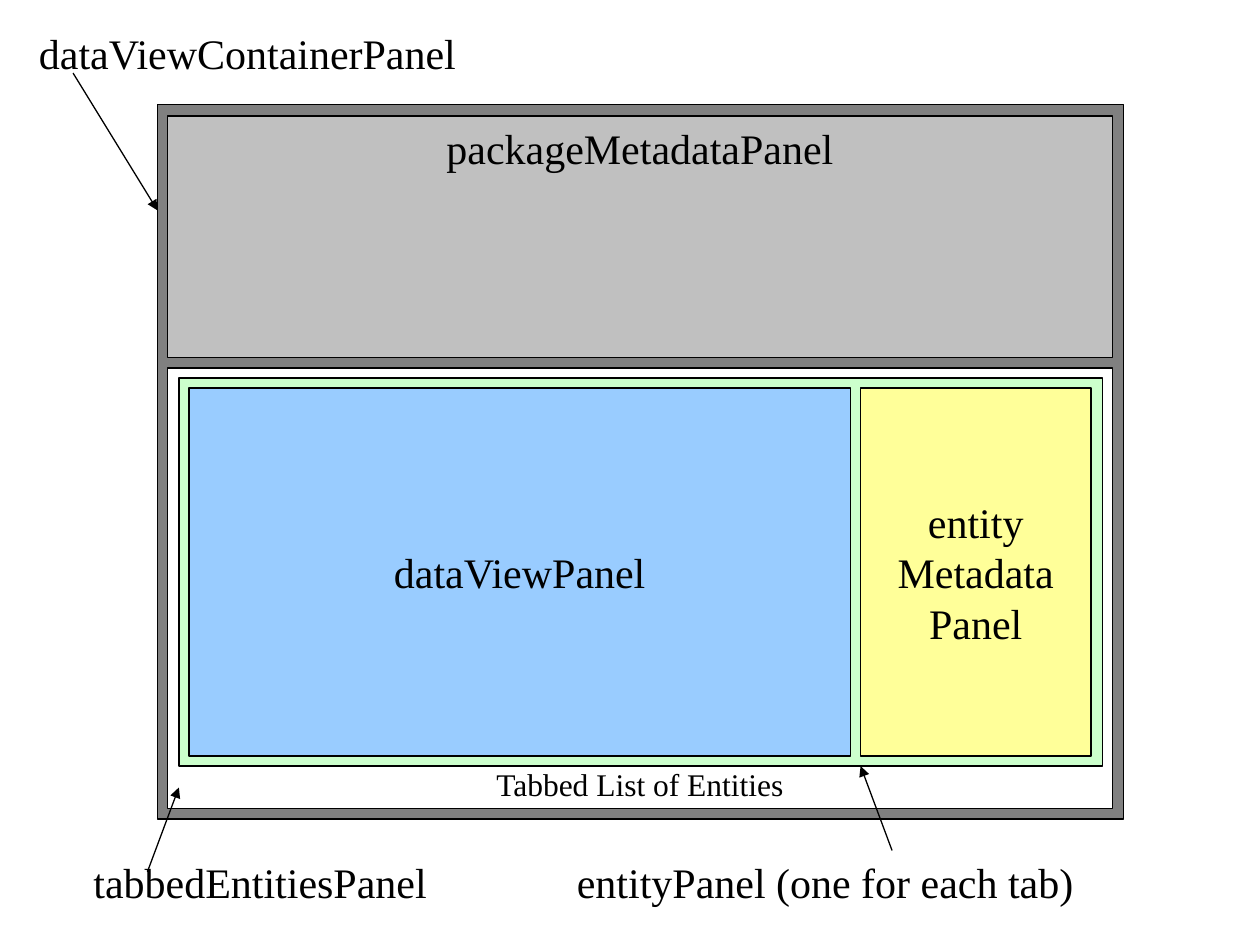
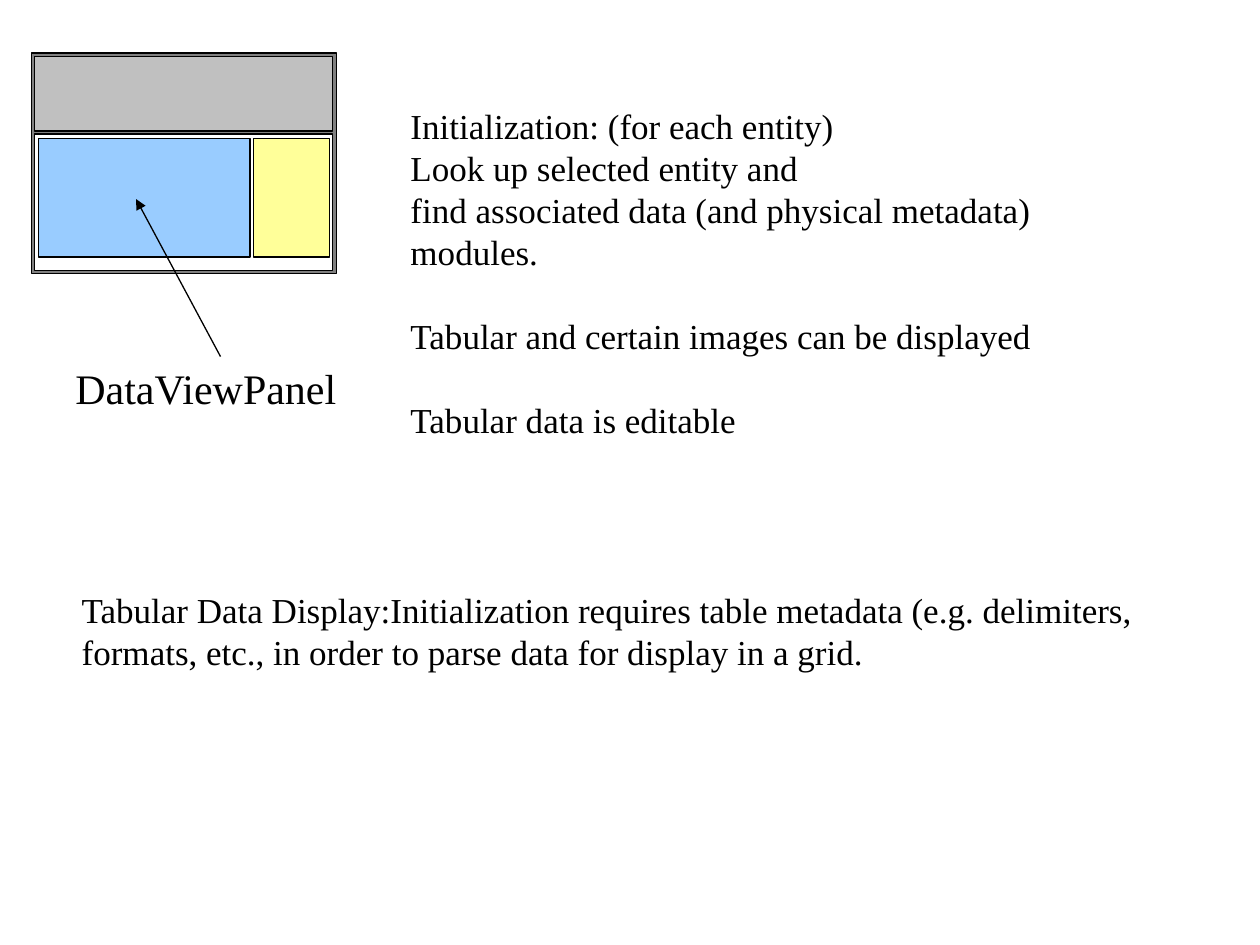
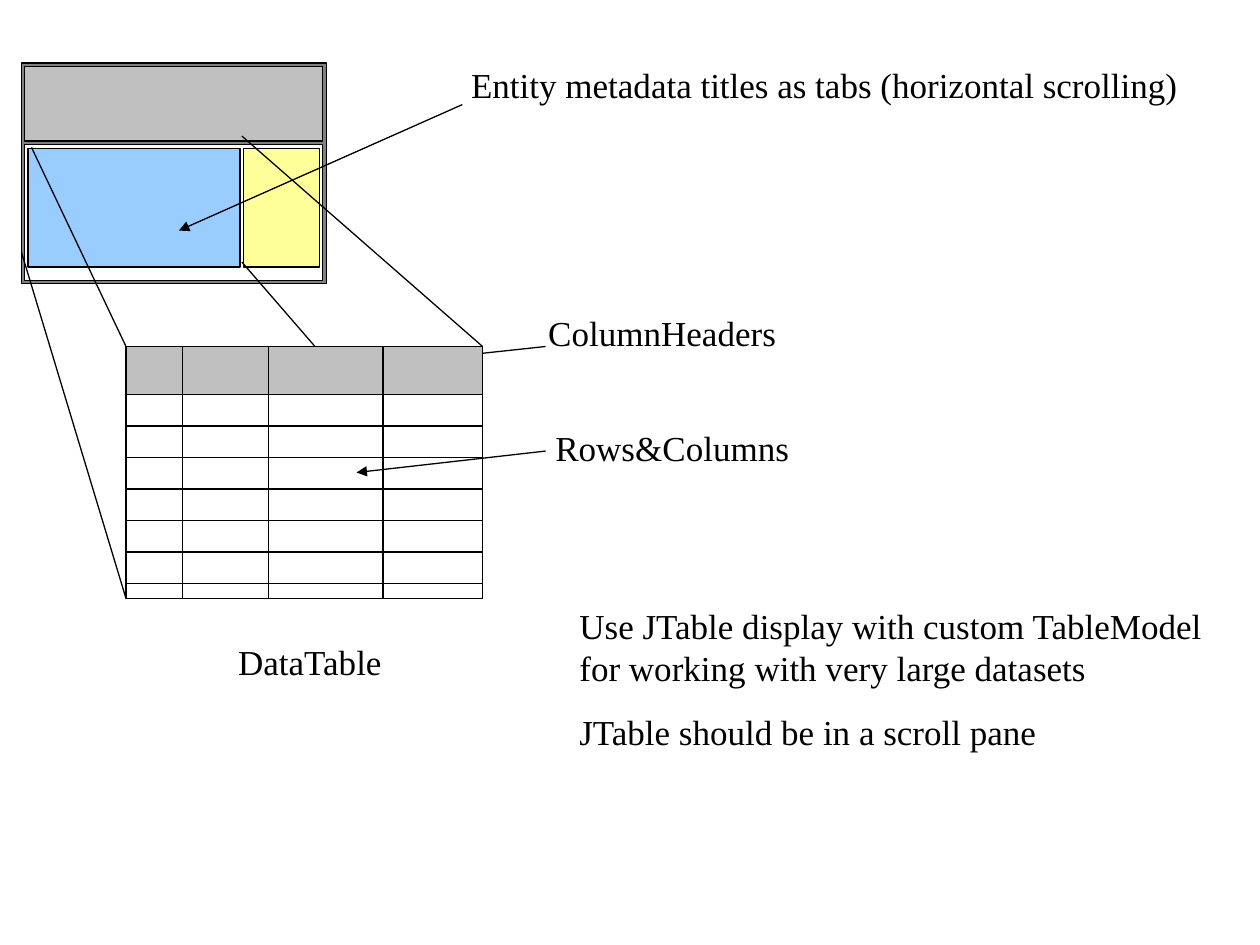
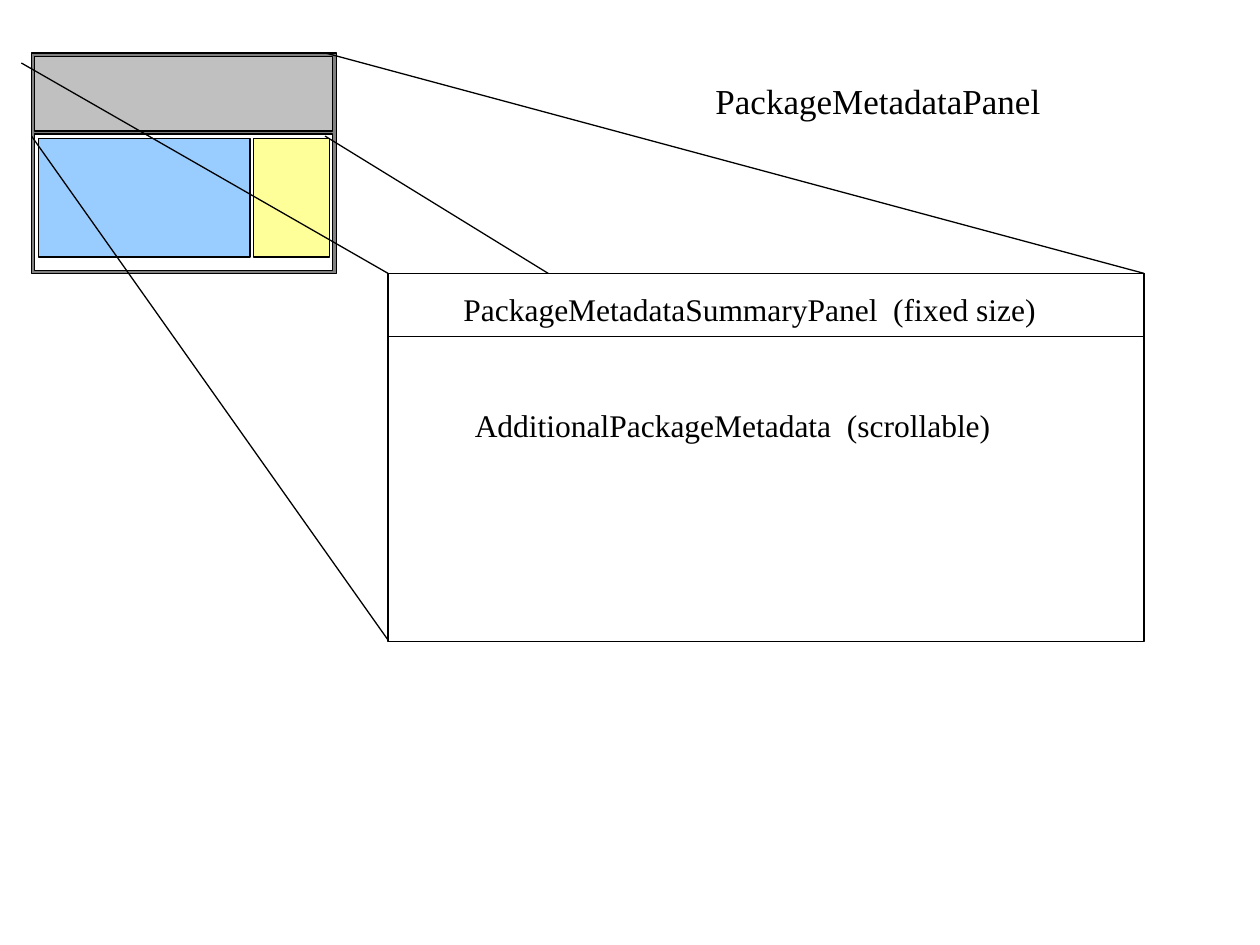
from pptx import Presentation
from pptx.dml.color import RGBColor
from pptx.enum.shapes import MSO_CONNECTOR as Link, MSO_SHAPE as Shape
from pptx.enum.text import MSO_ANCHOR as Anchor, MSO_AUTO_SIZE as Auto, PP_ALIGN as Align
from pptx.oxml.ns import qn
from pptx.util import Inches, Pt
from lxml.etree import SubElement

FONT = "Times New Roman"
COLORS = {
    "ink": "000000",
    "paper": "FFFFFF",
    "frame": "808080",
    "package": "C0C0C0",
    "entity": "CCFFCC",
    "data": "99CCFF",
    "meta": "FFFF99",
}
FRAME = [
    ("frame", 0, 0, 7.67, 5.67),
    ("paper", 0.08, 2.09, 7.5, 3.5),
    ("package", 0.08, 0.09, 7.5, 1.92),
]
FULL = FRAME + [
    ("entity", 0.17, 2.17, 7.33, 3.08),
    ("data", 0.25, 2.25, 5.25, 2.92),
    ("meta", 5.58, 2.25, 1.83, 2.92),
]
SMALL = FRAME + [
    ("data", 0.17, 2.2, 5.33, 3.05),
    ("meta", 5.58, 2.2, 1.92, 3.05),
]
SCALE = 2.42 / 7.67, 1.75 / 5.67


def color(name):
    """Return the named colour."""
    return RGBColor.from_string(COLORS[name])


def write(shape, text, size, align=Align.LEFT, anchor=Anchor.MIDDLE, wrap=False, gaps=None):
    """Put formatted text into a shape, with space before chosen paragraphs."""
    frame = shape.text_frame
    frame.text = text
    frame.word_wrap = wrap
    frame.vertical_anchor = anchor
    for index, para in enumerate(frame.paragraphs):
        para.alignment = align
        if gaps and index in gaps:
            para.space_before = Pt(gaps[index])
        for run in para.runs:
            run.font.name = FONT
            run.font.size = Pt(size)
            run.font.color.rgb = color("ink")


def label(slide, text, left, top, width, height, size=20, **style):
    """Add a text box."""
    box = slide.shapes.add_textbox(*map(Inches, (left, top, width, height)))
    write(box, text, size, **style)
    box.text_frame.auto_size = Auto.SHAPE_TO_FIT_TEXT


def rect(shapes, fill, left, top, width, height):
    """Add an outlined rectangle, unfilled when fill is None."""
    shape = shapes.add_shape(Shape.RECTANGLE, *map(Inches, (left, top, width, height)))
    shape.shadow.inherit = False
    if fill:
        shape.fill.solid()
        shape.fill.fore_color.rgb = color(fill)
    else:
        shape.fill.background()
    shape.line.color.rgb = color("ink")
    shape.line.width = Pt(0.75)
    return shape


def line(slide, start, end, arrow=False):
    """Add a straight line, with an arrowhead at its end if asked."""
    link = slide.shapes.add_connector(Link.STRAIGHT, *map(Inches, start + end))
    link.line.color.rgb = color("ink")
    link.line.width = Pt(0.75)
    if arrow:
        SubElement(link.line._get_or_add_ln(), qn("a:tailEnd"), type="triangle")
    SubElement(link._element.spPr, qn("a:effectLst"))


def panel(shapes, parts, left, top, scale=(1, 1)):
    """Draw the nested panels and return them by colour name."""
    sx, sy = scale
    return {
        name: rect(shapes, name, left + x * sx, top + y * sy, w * sx, h * sy)
        for name, x, y, w, h in parts
    }


def thumb(slide, left, top):
    """Add the grouped small view of the panels."""
    panel(slide.shapes.add_group_shape().shapes, SMALL, left, top, SCALE)


def grid(slide):
    """Draw the rows of the data table."""
    rect(slide.shapes, "paper", 1, 2.75, 2.83, 2)
    for row in range(6):
        y = 3.38 + row * 0.25
        line(slide, (1, y), (3.83, y))


def header(slide):
    """Draw the header band and the columns of the data table."""
    rect(slide.shapes, "package", 1, 2.75, 2.83, 0.38)
    for x in (1.45, 2.13, 3.04):
        line(slide, (x, 2.75), (x, 4.75))


def overview(slide):
    """Build the slide that names every panel."""
    boxes = panel(slide.shapes, FULL, 1.25, 0.83)
    for name, text, size, anchor in (
        ("paper", "Tabbed List of Entities", 18, Anchor.BOTTOM),
        ("package", "packageMetadataPanel", 24, Anchor.TOP),
        ("data", "dataViewPanel", 24, Anchor.MIDDLE),
        ("meta", "entity\nMetadata\nPanel", 24, Anchor.MIDDLE),
    ):
        write(boxes[name], text, size, Align.CENTER, anchor)
    for text, left, top, width in (
        ("dataViewContainerPanel", 0.2, 0.17, 3.53),
        ("tabbedEntitiesPanel", 0.64, 6.75, 2.85),
        ("entityPanel (one for each tab)", 4.48, 6.75, 4.14),
    ):
        label(slide, text, left, top, width, 0.5, 24, align=Align.CENTER)
    for start, end in (
        ((0.58, 0.58), (1.25, 1.67)),
        ((1.17, 6.92), (1.42, 6.25)),
        ((7.08, 6.75), (6.83, 6.08)),
    ):
        line(slide, start, end, True)


def viewer(slide):
    """Build the slide on the data view panel."""
    thumb(slide, 0.25, 0.42)
    label(slide, "DataViewPanel", 0.5, 2.83, 2.29, 0.5, 24)
    line(slide, (1.75, 2.83), (1.08, 1.58), True)
    label(
        slide,
        "Initialization: (for each entity)\nLook up selected entity and\n"
        "find associated data (and physical metadata)\nmodules.\n"
        "Tabular and certain images can be displayed\nTabular data is editable",
        3.16, 0.78, 5.14, 2.77, gaps={4: 24, 5: 24},
    )
    label(
        slide,
        "Tabular Data Display:Initialization requires table metadata (e.g. delimiters,\n"
        "formats, etc., in order to parse data for display in a grid.",
        0.55, 4.62, 8.56, 0.77,
    )


def table(slide):
    """Build the slide on the data table."""
    thumb(slide, 0.17, 0.5)
    grid(slide)
    for start, end in (
        ((0.25, 1.17), (1, 2.75)),
        ((1.92, 1.08), (3.83, 2.75)),
        ((1.92, 2.08), (2.5, 2.75)),
        ((0.17, 2), (1, 4.75)),
    ):
        line(slide, start, end)
    for start, end in (
        ((4.33, 2.75), (2.75, 2.92)),
        ((4.33, 3.58), (2.83, 3.75)),
        ((3.67, 0.83), (1.42, 1.83)),
    ):
        line(slide, start, end, True)
    header(slide)
    for text, left, top, width in (
        ("DataTable", 1.76, 5.03, 1.4),
        ("ColumnHeaders", 4.23, 2.42, 2.05),
        ("Rows&Columns", 4.28, 3.33, 2.11),
    ):
        label(slide, text, left, top, width, 0.44, align=Align.CENTER)
    label(slide, "Entity metadata titles as tabs (horizontal scrolling)", 3.64, 0.45, 5.85, 0.44)
    label(
        slide,
        "Use JTable display with custom TableModel for working with very large datasets\n"
        "JTable should be in a scroll pane",
        4.5, 4.75, 5.17, 1.61, anchor=Anchor.TOP, wrap=True, gaps={0: 12.5, 1: 12.5},
    )


def package(slide):
    """Build the slide on the package metadata panel."""
    thumb(slide, 0.25, 0.42)
    label(slide, "PackageMetadataPanel", 5.58, 0.58, 2.78, 0.44, anchor=Anchor.TOP)
    line(slide, (2.58, 1.08), (9.08, 5.08))
    line(slide, (0.25, 1.08), (3.08, 5.08))
    rect(slide.shapes, "paper", 3.08, 2.17, 6, 2.92)
    line(slide, (0.17, 0.5), (3.08, 2.17))
    line(slide, (2.58, 0.42), (9.08, 2.17))
    rect(slide.shapes, None, 3.08, 2.17, 6, 0.5)
    for text, left, top, width in (
        ("PackageMetadataSummaryPanel  (fixed size)", 3.58, 2.25, 5.33),
        ("AdditionalPackageMetadata  (scrollable)", 3.67, 3.17, 4.5),
    ):
        label(slide, text, left, top, width, 0.4, 18, anchor=Anchor.TOP, wrap=True)


def main():
    """Build and save the slides."""
    deck = Presentation()
    deck.slide_width, deck.slide_height = Inches(10), Inches(7.5)
    for build in (overview, viewer, table, package):
        build(deck.slides.add_slide(deck.slide_layouts[6]))
    deck.save("out.pptx")


if __name__ == "__main__":
    main()
